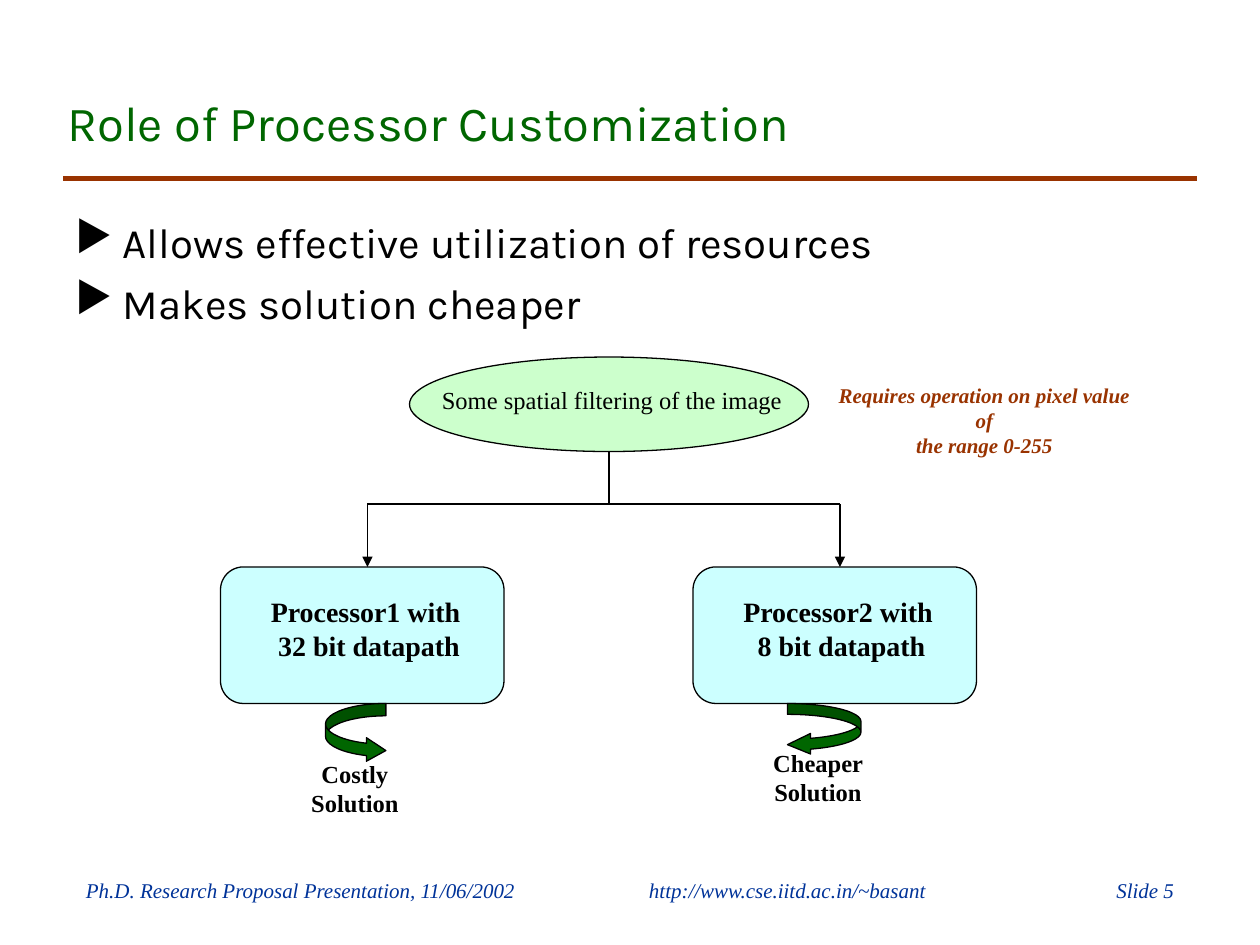
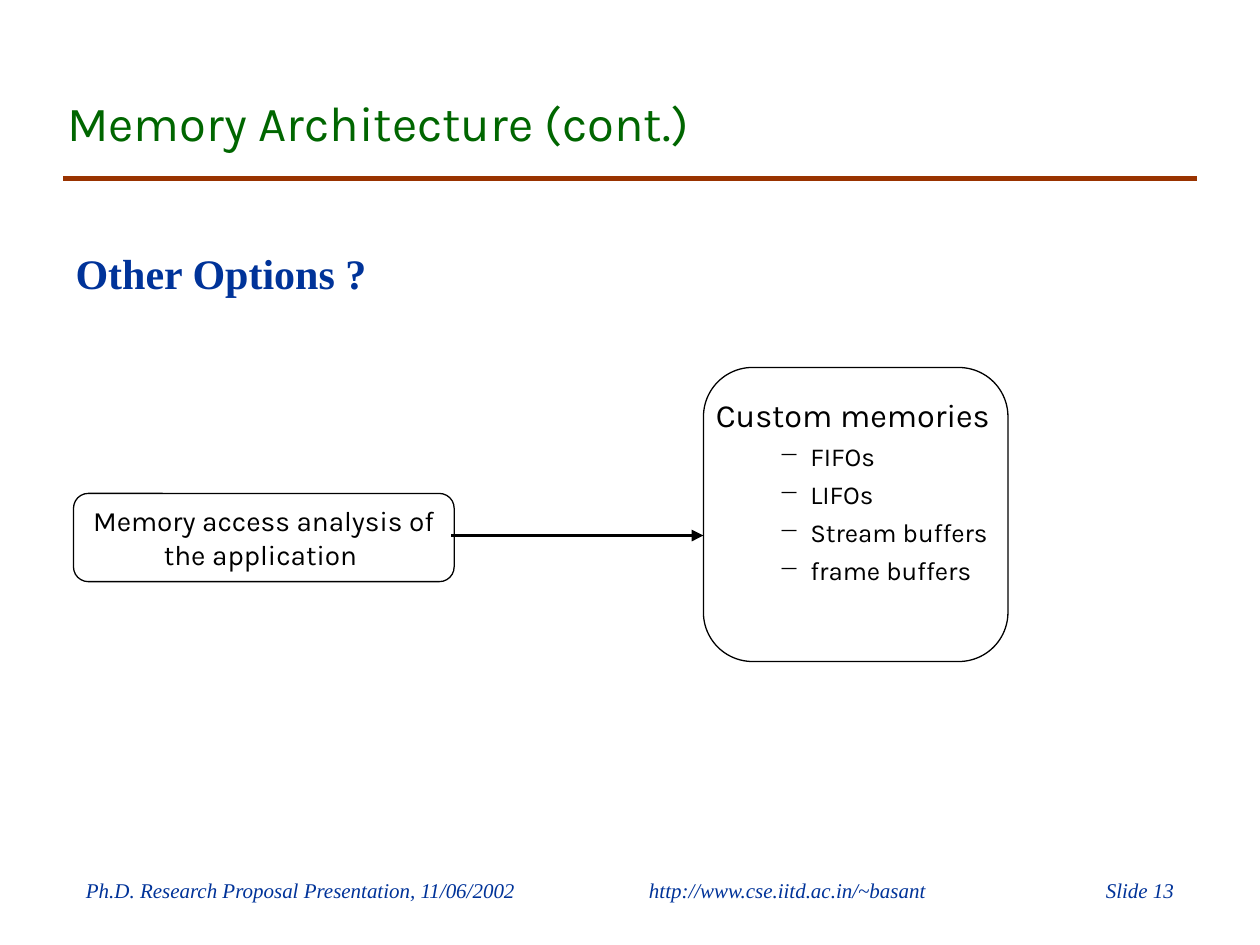
from dataclasses import dataclass, field
from typing import NamedTuple

from lxml.etree import SubElement
from pptx import Presentation
from pptx.dml.color import RGBColor
from pptx.enum.shapes import MSO_CONNECTOR, MSO_SHAPE
from pptx.enum.text import MSO_ANCHOR, PP_ALIGN
from pptx.oxml.ns import qn
from pptx.util import Inches, Pt

# Grid: 120 columns by 90 rows of square cells
COLUMNS, ROWS = 120, 90
CELL = Inches(10) / COLUMNS

COLORS = {
    "ink": "000000",
    "title": "006600",
    "rule": "993300",
    "accent": "003399",
    "task": "CCFFCC",
    "processor": "CCFFFF",
    "paper": "FFFFFF",
}
SANS, SERIF = "Karla", "Times New Roman"
ROUNDING = 0.167


class Area(NamedTuple):
    column: float
    row: float
    columns: float
    rows: float


@dataclass
class Label:
    area: Area
    text: str
    style: dict = field(default_factory=dict)
    anchor: MSO_ANCHOR = MSO_ANCHOR.MIDDLE
    wrap: bool = False


@dataclass
class Figure:
    kind: MSO_SHAPE
    area: Area
    fill: str | None = None
    adjustments: tuple[float, ...] = ()


@dataclass
class Line:
    start: tuple[float, float]
    end: tuple[float, float]
    width: float = 0.75
    color: str = "ink"
    arrow: bool = False


def cells(count: float) -> int:
    return round(count * CELL)


def rgb(name: str) -> RGBColor:
    return RGBColor.from_string(COLORS[name])


def write(frame, text: str, *, size: float = 14, font: str = SERIF,
          color: str = "ink", bold: bool = False, italic: bool = False,
          align: PP_ALIGN = PP_ALIGN.CENTER, before: float = 0,
          left: float = 0, hang: float = 0, bullet: str = "") -> None:
    """Add each line of the text to the frame as a paragraph."""
    for line in text.split("\n"):
        first = not frame.text
        para = frame.paragraphs[0] if first else frame.add_paragraph()
        para.alignment = align
        properties = para._p.get_or_add_pPr()
        if left:
            properties.set("marL", str(cells(left)))
            properties.set("indent", str(-cells(hang)))
        if bullet:
            tint = SubElement(properties, qn("a:buClr"))
            SubElement(tint, qn("a:srgbClr"), val=COLORS["ink"])
            SubElement(properties, qn("a:buChar"), char=bullet)
        if before and not first:
            para.space_before = Pt(before)
        span = para.add_run()
        span.text = line
        span.font.size, span.font.name = Pt(size), font
        span.font.bold, span.font.italic = bold, italic
        span.font.color.rgb = rgb(color)


def add_label(page, label: Label):
    box = page.shapes.add_textbox(*map(cells, label.area))
    frame = box.text_frame
    frame.word_wrap = label.wrap
    frame.vertical_anchor = label.anchor
    if label.text:
        write(frame, label.text, **label.style)
    return frame


def add_figure(page, figure: Figure):
    shape = page.shapes.add_shape(figure.kind, *map(cells, figure.area))
    shape.shadow.inherit = False
    for index, value in enumerate(figure.adjustments):
        shape.adjustments[index] = value
    if figure.fill:
        shape.fill.solid()
        shape.fill.fore_color.rgb = rgb(figure.fill)
    else:
        shape.fill.background()
    shape.line.color.rgb = rgb("ink")
    shape.line.width = Pt(0.75)
    return shape


def add_line(page, line: Line) -> None:
    connector = page.shapes.add_connector(
        MSO_CONNECTOR.STRAIGHT, *map(cells, line.start + line.end))
    connector.line.color.rgb = rgb(line.color)
    connector.line.width = Pt(line.width)
    properties = connector._element.spPr
    if line.arrow:
        SubElement(properties.find(qn("a:ln")), qn("a:tailEnd"), type="triangle")
    SubElement(properties, qn("a:effectLst"))


def add_page(deck, title: str, number: int):
    """Start a page with its title, rule and footers."""
    page = deck.slides.add_slide(deck.slide_layouts[6])
    add_line(page, Line((6, 17), (114, 17), width=3, color="rule"))
    footer = {"size": 12, "color": "accent", "italic": True}
    footers = (
        (7, 45, "Ph.D. Research Proposal Presentation, 11/06/2002", PP_ALIGN.LEFT),
        (59, 32, "http://www.cse.iitd.ac.in/~basant", PP_ALIGN.CENTER),
        (99, 14, f"Slide {number}", PP_ALIGN.RIGHT),
    )
    for column, columns, text, align in footers:
        add_label(page, Label(Area(column, 83, columns, 3.6), text,
                              footer | {"align": align}, MSO_ANCHOR.TOP, True))
    heading = {"size": 28, "font": SANS, "color": "title", "align": PP_ALIGN.LEFT}
    add_label(page, Label(Area(5.25, 3, 102, 12), title, heading,
                          MSO_ANCHOR.BOTTOM, True))
    return page


def build_customization(deck) -> None:
    page = add_page(deck, "Role of Processor Customization", 5)

    # Main points
    points = {"size": 24, "font": SANS, "align": PP_ALIGN.LEFT, "before": 6,
              "left": 4.5, "hang": 4.5, "bullet": "▶"}
    add_label(page, Label(
        Area(6, 20, 105, 13),
        "Allows effective utilization of resources\nMakes solution cheaper",
        points, MSO_ANCHOR.TOP, True))

    # Task and its requirement
    add_figure(page, Figure(MSO_SHAPE.OVAL, Area(39, 34, 38, 9), "task"))
    add_label(page, Label(Area(40.9, 36, 34.8, 4.1),
                          "Some spatial filtering of the image"))
    add_label(page, Label(
        Area(77.6, 37, 32.3, 6),
        "Requires operation on pixel value of\nthe range 0-255",
        {"size": 12, "color": "rule", "bold": True, "italic": True}))

    # Processors
    for column, name in ((21, "Processor1 with \n32 bit datapath"),
                         (66, "Processor2 with \n8 bit datapath")):
        add_figure(page, Figure(MSO_SHAPE.ROUNDED_RECTANGLE,
                                Area(column, 54, 27, 13), "processor", (ROUNDING,)))
        add_label(page, Label(Area(column + 3.6, 56, 21.1, 7.7), name,
                              {"size": 16, "bold": True}))

    # Branches from the task to the processors
    add_line(page, Line((58, 43), (58, 48)))
    for column in (35, 80):
        add_line(page, Line((58, 48), (column, 48)))
        add_line(page, Line((column, 48), (column, 54), arrow=True))

    # Outcomes
    for area, text in ((Area(25, 73, 17.6, 4.1), "Costly Solution"),
                       (Area(68, 72, 19.8, 4.1), "Cheaper Solution")):
        add_label(page, Label(area, text, {"bold": True}))
    for arrow in (
        Figure(MSO_SHAPE.CURVED_RIGHT_ARROW, Area(31, 67, 5.75, 5.6), "title",
               (0.21, 0.4, 0.33)),
        Figure(MSO_SHAPE.CURVED_LEFT_ARROW, Area(75, 67, 7, 4.9), "title",
               (0.21, 0.4, 0.45)),
    ):
        add_figure(page, arrow)


def build_memory(deck) -> None:
    page = add_page(deck, "Memory Architecture (cont.)", 13)

    # Custom memory list
    frame = add_label(page, Label(Area(61, 37, 37, 21), "",
                                  anchor=MSO_ANCHOR.TOP, wrap=True))
    write(frame, "Custom memories", size=18.5, font=SANS,
          align=PP_ALIGN.LEFT, left=6)
    write(frame, "FIFOs\nLIFOs\nStream buffers\nframe buffers", size=14.8,
          font=SANS, align=PP_ALIGN.LEFT, before=4, left=15, hang=3, bullet="−")

    # Analysis step leading to the memories
    analysis = add_figure(page, Figure(
        MSO_SHAPE.ROUNDED_RECTANGLE, Area(7, 47, 36.25, 8.4), "paper", (ROUNDING,)))
    analysis.text_frame.word_wrap = False
    analysis.text_frame.vertical_anchor = MSO_ANCHOR.MIDDLE
    write(analysis.text_frame, "Memory access analysis of\nthe application ",
          size=16, font=SANS)
    add_line(page, Line((43, 51), (67, 51), width=2.25, arrow=True))
    add_figure(page, Figure(MSO_SHAPE.ROUNDED_RECTANGLE, Area(67, 35, 29, 28),
                            adjustments=(ROUNDING,)))

    # Question
    add_label(page, Label(Area(6, 23, 30.1, 6), "Other Options ?",
                          {"size": 24, "color": "accent", "bold": True}))


def main() -> None:
    deck = Presentation()
    deck.slide_width, deck.slide_height = cells(COLUMNS), cells(ROWS)
    build_customization(deck)
    build_memory(deck)
    deck.save("out.pptx")


if __name__ == "__main__":
    main()
